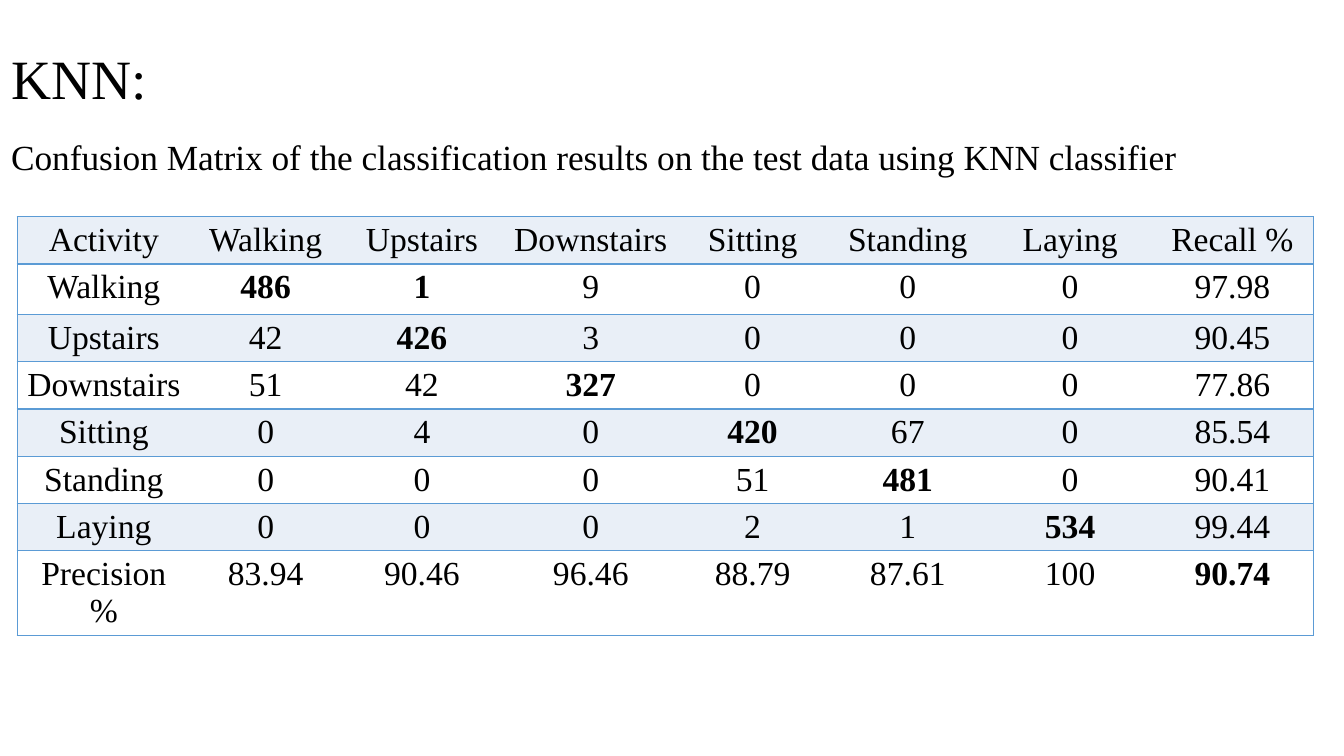
from lxml.etree import SubElement
from pptx import Presentation
from pptx.dml.color import RGBColor
from pptx.enum.text import MSO_ANCHOR, MSO_AUTO_SIZE, PP_ALIGN
from pptx.oxml.ns import qn
from pptx.util import Inches, Pt

BLACK = RGBColor(0x00, 0x00, 0x00)
WHITE = RGBColor(0xFF, 0xFF, 0xFF)
BAND = RGBColor(0xE9, 0xEF, 0xF7)
BORDER = RGBColor(0x5B, 0x9B, 0xD5)
FONT = "Times New Roman"

TITLE = [
    ("KNN:", 39.6, 0),
    ("Confusion Matrix of the classification results on the test data using KNN classifier", 25.2, 20.4),
]
ACTIVITIES = ["Walking", "Upstairs", "Downstairs", "Sitting", "Standing", "Laying"]
RESULTS = [
    ["486", "1", "9", "0", "0", "0", "97.98"],
    ["42", "426", "3", "0", "0", "0", "90.45"],
    ["51", "42", "327", "0", "0", "0", "77.86"],
    ["0", "4", "0", "420", "67", "0", "85.54"],
    ["0", "0", "0", "51", "481", "0", "90.41"],
    ["0", "0", "0", "2", "1", "534", "99.44"],
    ["83.94", "90.46", "96.46", "88.79", "87.61", "100", "90.74"],
]
COL_WIDTHS = [1.72, 1.49, 1.61, 1.74, 1.47, 1.61, 1.61, 1.61]
ROW_HEIGHTS = [0.42, 0.5] + [0.42] * 6
EXTRA_BOLD = {(1, 2)}


def add_text(p, text, size, bold=False):
    """Add a formatted run to a paragraph."""
    r = p.add_run()
    r.text = text
    for name, value in {"name": FONT, "size": Pt(size), "bold": bold}.items():
        setattr(r.font, name, value)
    r.font.color.rgb = BLACK


def set_borders(cell, visible):
    """Draw the visible cell edges and clear the others."""
    pr = cell._tc.get_or_add_tcPr()
    for i, side in enumerate("LRTB"):
        ln = pr.makeelement(qn(f"a:ln{side}"), {"w": str(Pt(1))})
        pr.insert(i, ln)
        if side in visible:
            fill = SubElement(ln, qn("a:solidFill"))
            SubElement(fill, qn("a:srgbClr"), val=str(BORDER))
        else:
            SubElement(ln, qn("a:noFill"))


prs = Presentation()
prs.slide_width, prs.slide_height = Inches(13.33), Inches(7.5)
s = prs.slides.add_slide(prs.slide_layouts[5])

title = s.shapes.title
box = {"left": 0.01, "top": 0.4, "width": 13.17, "height": 1.47}
for name, value in box.items():
    setattr(title, name, Inches(value))
tf = title.text_frame
frame = {"word_wrap": True, "auto_size": MSO_AUTO_SIZE.NONE, "vertical_anchor": MSO_ANCHOR.MIDDLE}
for name, value in frame.items():
    setattr(tf, name, value)
for i, (text, size, gap) in enumerate(TITLE):
    p = tf.add_paragraph() if i else tf.paragraphs[0]
    for name, value in {"alignment": PP_ALIGN.LEFT, "line_spacing": 0.9, "space_before": Pt(gap)}.items():
        setattr(p, name, value)
    add_text(p, text, size)

rows = [["Activity", *ACTIVITIES, "Recall %"]]
rows += [[name, *values] for name, values in zip(ACTIVITIES + ["Precision %"], RESULTS)]
last = len(COL_WIDTHS) - 1
table = s.shapes.add_table(
    len(rows), len(COL_WIDTHS), Inches(0.17), Inches(2.15),
    Inches(sum(COL_WIDTHS)), Inches(sum(ROW_HEIGHTS)),
).table
table.first_row = table.horz_banding = False
for col, width in zip(table.columns, COL_WIDTHS):
    col.width = Inches(width)
for i, (values, height) in enumerate(zip(rows, ROW_HEIGHTS)):
    table.rows[i].height = Inches(height)
    for j, text in enumerate(values):
        cell = table.cell(i, j)
        cell.fill.solid()
        cell.fill.fore_color.rgb = WHITE if i % 2 else BAND
        p = cell.text_frame.paragraphs[0]
        p.alignment = PP_ALIGN.CENTER
        add_text(p, text, 24, i == j > 0 or (i, j) in EXTRA_BOLD)
        set_borders(cell, "TB" + {0: "L", last: "R"}.get(j, ""))

prs.save("out.pptx")
